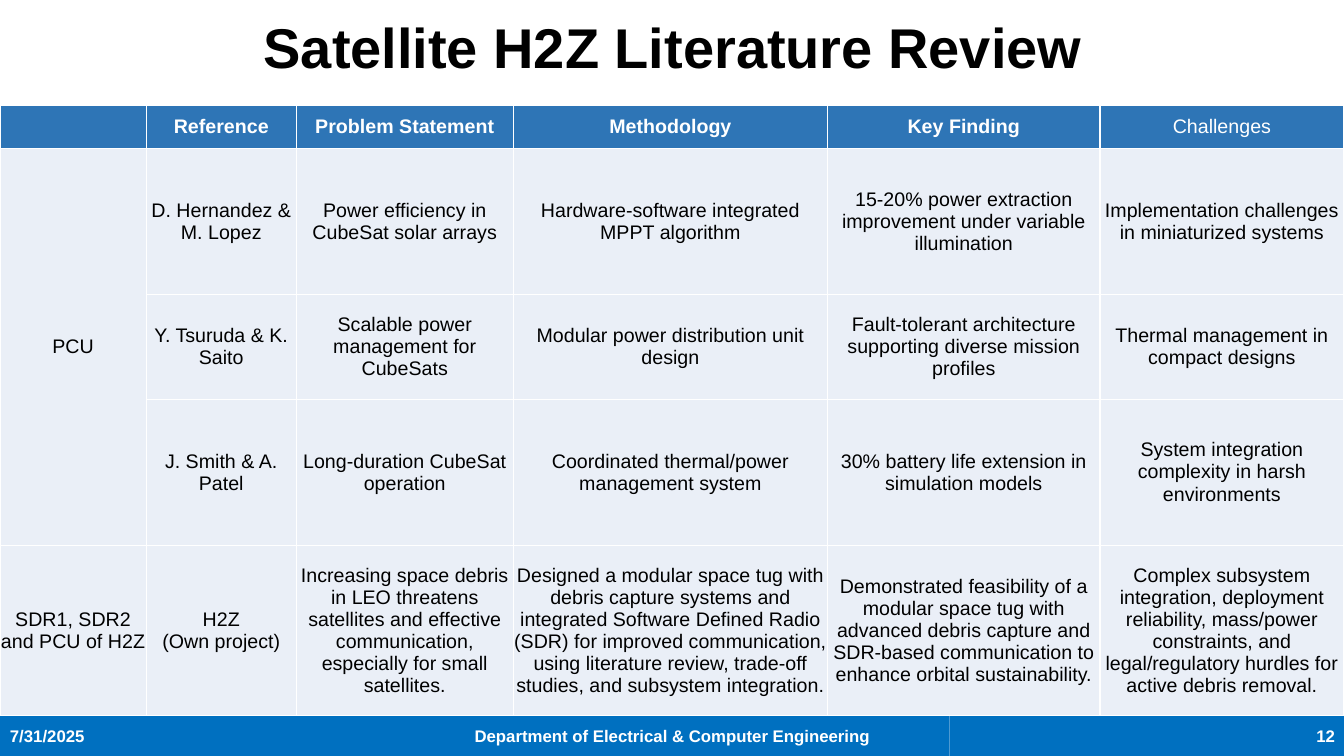
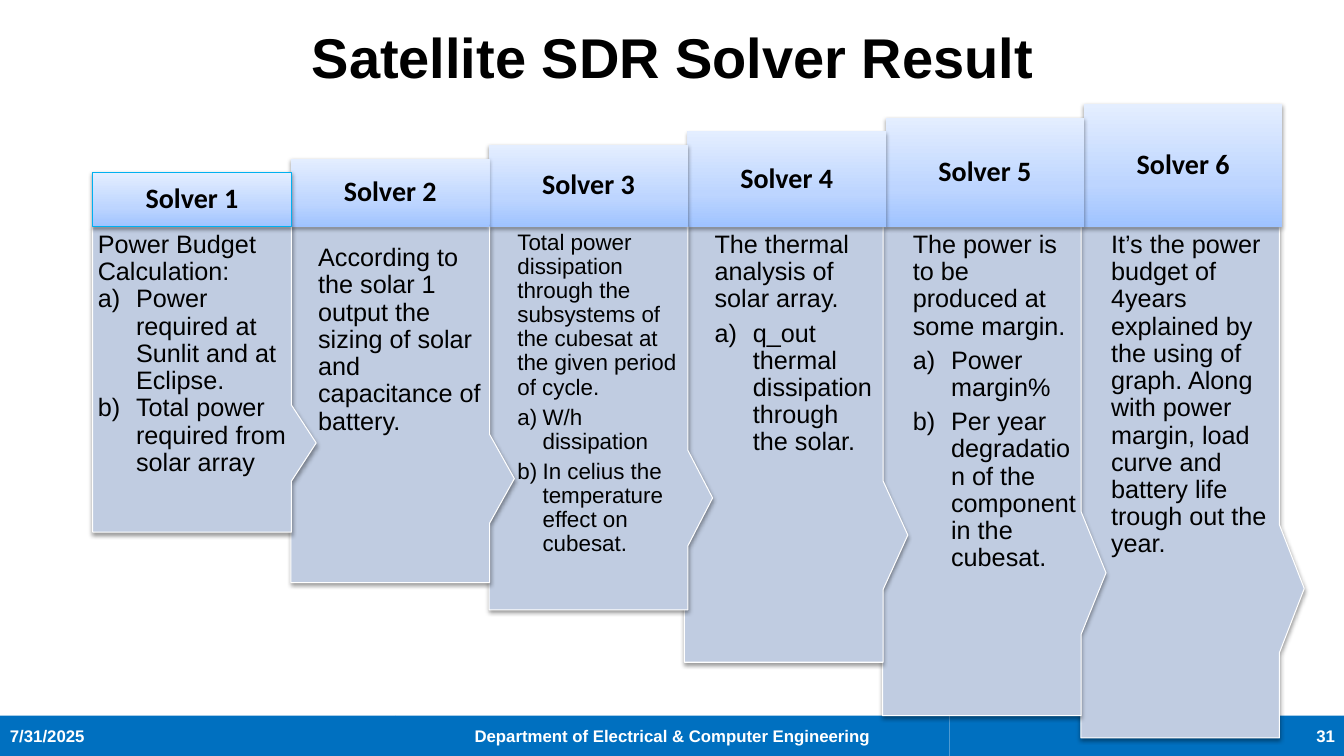
from copy import deepcopy

from lxml import etree
from pptx import Presentation
from pptx.dml.color import RGBColor
from pptx.enum.shapes import MSO_SHAPE
from pptx.enum.text import MSO_ANCHOR, PP_ALIGN
from pptx.oxml.ns import qn
from pptx.util import Inches, Pt

RECT, CALLOUT = MSO_SHAPE.RECTANGLE, MSO_SHAPE.RECTANGULAR_CALLOUT
LEFT, CENTER, RIGHT = PP_ALIGN.LEFT, PP_ALIGN.CENTER, PP_ALIGN.RIGHT
TOP, MIDDLE = MSO_ANCHOR.TOP, MSO_ANCHOR.MIDDLE

COLORS = {
    "black": "000000", "white": "FFFFFF", "footer": "0070C0",
    "head": "2E75B6", "cell": "EAEFF7", "panel": "C0CCE1", "outline": "00B0F0",
}
GRADIENT = [(0, "9FC3FF"), (0.35, "BDD5FF"), (1, "E4EEFF")]

TITLE = {"size": 40, "bold": True}
FOOTER = {"size": 12, "bold": True, "color": "white"}
TABLE_HEAD = {"size": 14, "bold": True, "color": "white"}
TABLE_BODY = {"size": 14, "bold": False}
STEP_HEAD = {"size": 20, "bold": True, "name": "Calibri"}

DATE = "7/31/2025"
DEPARTMENT = "Department of Electrical & Computer Engineering"

REVIEW_COLS = [1.45, 1.49, 2.15, 3.12, 2.7, 2.42]
REVIEW_ROWS = [0.42, 1.45, 1.04, 1.45, 1.69]
REVIEW = [
    ["", "Reference", "Problem Statement", "Methodology", "Key Finding", "Challenges"],
    ["PCU", "D. Hernandez & M. Lopez", "Power efficiency in CubeSat solar arrays",
     "Hardware-software integrated MPPT algorithm",
     "15-20% power extraction improvement under variable illumination",
     "Implementation challenges in miniaturized systems"],
    ["", "Y. Tsuruda & K. Saito", "Scalable power management for CubeSats",
     "Modular power distribution unit design",
     "Fault-tolerant architecture supporting diverse mission profiles",
     "Thermal management in compact designs"],
    ["", "J. Smith & A. Patel", "Long-duration CubeSat operation",
     "Coordinated thermal/power management system",
     "30% battery life extension in simulation models",
     "System integration complexity in harsh environments"],
    ["SDR1, SDR2 and PCU of H2Z", "H2Z\n(Own project)",
     "Increasing space debris in LEO threatens satellites and effective communication, "
     "especially for small satellites.",
     "Designed a modular space tug with debris capture systems and integrated Software "
     "Defined Radio (SDR) for improved communication, using literature review, trade-off "
     "studies, and subsystem integration.",
     "Demonstrated feasibility of a modular space tug with advanced debris capture and "
     "SDR-based communication to enhance orbital sustainability.",
     "Complex subsystem integration, deployment reliability, mass/power constraints, and "
     "legal/regulatory hurdles for active debris removal."],
]

# Insets are left, top, right, bottom
SOLVERS = [
    {"lines": ["Power Budget", "Calculation:"],
     "items": ["Power required at Sunlit and at Eclipse.",
               "Total power required from solar array"],
     "height": 3.03, "insets": (0.05, 0.05, 0.05, 0.05), "before": 0},
    {"lines": ["According to the solar 1 output the sizing of solar and capacitance of battery."],
     "height": 3.53, "insets": (0.27, 0.18, 0.05, 0.05)},
    {"lines": ["Total power dissipation through the subsystems of the cubesat at the given "
               "period of cycle."],
     "items": ["W/h dissipation", "In celius the temperature effect on cubesat."],
     "height": 3.8, "insets": (0.28, 0.04, 0.07, 0.05), "before": 4.2,
     "size": 16, "indent": 0.25},
    {"lines": ["The thermal analysis of solar array."],
     "items": ["q_out thermal dissipation through the solar."],
     "height": 4.32, "shift": -0.03},
    {"lines": ["The power is to be produced at some margin."],
     "items": ["Power margin%", "Per year degradation of the component in the cubesat."],
     "height": 4.85, "shift": -0.03},
    {"lines": ["It’s the power budget of 4years explained by the using of graph. Along with "
               "power margin, load curve and battery life trough out the year."],
     "height": 5.07, "shift": -0.03},
]
STEP_LEFT, STEP_BASE, STEP_WIDTH = 0.92, 2.25, 1.97
STEP_PITCH = (10.75 - STEP_LEFT) / (len(SOLVERS) - 1)
HEAD_MIN, HEAD_MAX = 0.54, 1.22
HEAD_GROWTH = (HEAD_MAX - HEAD_MIN) / (len(SOLVERS) - 1)


def rgb(name):
    return RGBColor.from_string(COLORS[name])


def style_run(r, size, bold=False, color="black", name="Arial"):
    for key, value in {"size": Pt(size), "bold": bold, "name": name}.items():
        setattr(r.font, key, value)
    r.font.color.rgb = rgb(color)


def write(tf, lines, style, align=LEFT, spacing=None, before=0):
    for i, line in enumerate(lines):
        p = tf.paragraphs[0] if i == 0 else tf.add_paragraph()
        p.alignment = align
        if spacing:
            p.line_spacing = spacing
        p.space_before = Pt(before if i else 0)
        r = p.add_run()
        r.text = line
        style_run(r, **style)


def set_frame(tf, anchor, insets):
    tf.word_wrap = True
    tf.vertical_anchor = anchor
    for side, inset in zip(("left", "top", "right", "bottom"), insets):
        setattr(tf, f"margin_{side}", Inches(inset))


def add_box(slide, kind, box, fill=None):
    sp = slide.shapes.add_shape(kind, *map(Inches, box))
    sp.shadow.inherit = False
    sp.line.fill.background()
    if fill:
        sp.fill.solid()
        sp.fill.fore_color.rgb = rgb(fill)
    return sp


def outline(sp, color):
    sp.line.color.rgb = rgb(color)
    sp.line.width = Pt(0.75)


def add_shadow(sp):
    effects = sp._element.spPr.find(qn("a:effectLst"))
    shadow = etree.SubElement(effects, qn("a:outerShdw"), blurRad=str(Pt(3.1)),
                              dist=str(Pt(1.6)), dir="5400000", rotWithShape="0")
    color = etree.SubElement(shadow, qn("a:srgbClr"), val=COLORS["black"])
    etree.SubElement(color, qn("a:alpha"), val="38000")


def fill_gradient(sp):
    sp.fill.gradient()
    sp.fill.gradient_angle = 90
    stops = sp._element.spPr.find(".//" + qn("a:gsLst"))
    stops.append(deepcopy(stops[0]))
    for stop, (position, color) in zip(sp.fill.gradient_stops, GRADIENT):
        stop.position = position
        stop.color.rgb = RGBColor.from_string(color)


def number_items(paragraphs, indent):
    for p in paragraphs:
        pPr = p._p.get_or_add_pPr()
        pPr.set("marL", str(Inches(indent)))
        pPr.set("indent", str(-Inches(indent)))
        etree.SubElement(pPr, qn("a:buFont"), typeface="+mj-lt")
        etree.SubElement(pPr, qn("a:buAutoNum"), type="alphaLcParenR")


def add_slide(prs, title, top, height, number):
    """Add a slide with the shared title style and footer band."""
    slide = prs.slides.add_slide(prs.slide_layouts[5])
    sp = slide.shapes.title
    sp.left, sp.top, sp.width, sp.height = map(Inches, (0.92, top, 11.5, height))
    set_frame(sp.text_frame, MIDDLE, (0.1, 0.05, 0.1, 0.05))
    write(sp.text_frame, [title], TITLE, CENTER, 0.9)
    left = 0
    for text, width, align in ((DATE, 3.92, LEFT), (DEPARTMENT, 5.5, CENTER),
                               (number, 3.92, RIGHT)):
        band = add_box(slide, RECT, (left, 7.1, width, 0.4), "footer")
        set_frame(band.text_frame, MIDDLE, (0.1, 0.05, 0.1, 0.05))
        write(band.text_frame, [text], FOOTER, align)
        left += width
    return slide


def format_cell(cell, fill):
    cell.fill.solid()
    cell.fill.fore_color.rgb = rgb(fill)
    cell.vertical_anchor = MIDDLE
    for side in ("left", "top", "right", "bottom"):
        setattr(cell, f"margin_{side}", 0)
    tcPr = cell._tc.get_or_add_tcPr()
    for i, edge in enumerate(("lnL", "lnR", "lnT", "lnB")):
        ln = etree.Element(qn(f"a:{edge}"), w=str(Pt(1)))
        solid = etree.SubElement(ln, qn("a:solidFill"))
        etree.SubElement(solid, qn("a:srgbClr"), val=COLORS["white"])
        tcPr.insert(i, ln)


def add_review_table(slide):
    box = (0, 1.05, sum(REVIEW_COLS), sum(REVIEW_ROWS))
    table = slide.shapes.add_table(len(REVIEW_ROWS), len(REVIEW_COLS),
                                   *map(Inches, box)).table
    table.horz_banding = False
    for col, width in zip(table.columns, REVIEW_COLS):
        col.width = Inches(width)
    for row, height in zip(table.rows, REVIEW_ROWS):
        row.height = Inches(height)
    for r, texts in enumerate(REVIEW):
        for c, text in enumerate(texts):
            cell = table.cell(r, c)
            format_cell(cell, "cell" if r else "head")
            style = TABLE_BODY if r else {**TABLE_HEAD, "bold": text != "Challenges"}
            if text:
                write(cell.text_frame, text.split("\n"), style, CENTER)
    table.cell(1, 0).merge(table.cell(3, 0))


def add_solver(slide, i, solver):
    left = STEP_LEFT + i * STEP_PITCH
    panel = add_box(slide, CALLOUT, (left + solver.get("shift", 0), STEP_BASE,
                                     STEP_WIDTH, solver["height"]), "panel")
    panel.adjustments[0], panel.adjustments[1] = 0.625, 0.208
    outline(panel, "white")
    add_shadow(panel)
    tf, lines = panel.text_frame, solver["lines"]
    set_frame(tf, TOP, solver.get("insets", (0.3, 0.05, 0.05, 0.05)))
    write(tf, lines + solver.get("items", []), {"size": solver.get("size", 18)},
          spacing=0.9, before=solver.get("before", 4.9))
    number_items(tf.paragraphs[len(lines):], solver.get("indent", 0.38))

    height = HEAD_MIN + i * HEAD_GROWTH
    head = add_box(slide, RECT, (left, STEP_BASE - height, STEP_WIDTH, height))
    fill_gradient(head)
    add_shadow(head)
    if i == 0:
        outline(head, "outline")
    set_frame(head.text_frame, MIDDLE, (0.07,) * 4)
    write(head.text_frame, [f"Solver {i + 1}"], STEP_HEAD, CENTER, 0.9)


def main():
    prs = Presentation()
    prs.slide_width, prs.slide_height = Inches(13.33), Inches(7.5)
    add_review_table(add_slide(prs, "Satellite H2Z Literature Review", -0.23, 1.45, "12"))
    slide = add_slide(prs, "Satellite SDR Solver Result", 0.15, 0.89, "31")
    for i, solver in reversed(list(enumerate(SOLVERS))):
        add_solver(slide, i, solver)
    prs.save("out.pptx")


if __name__ == "__main__":
    main()
